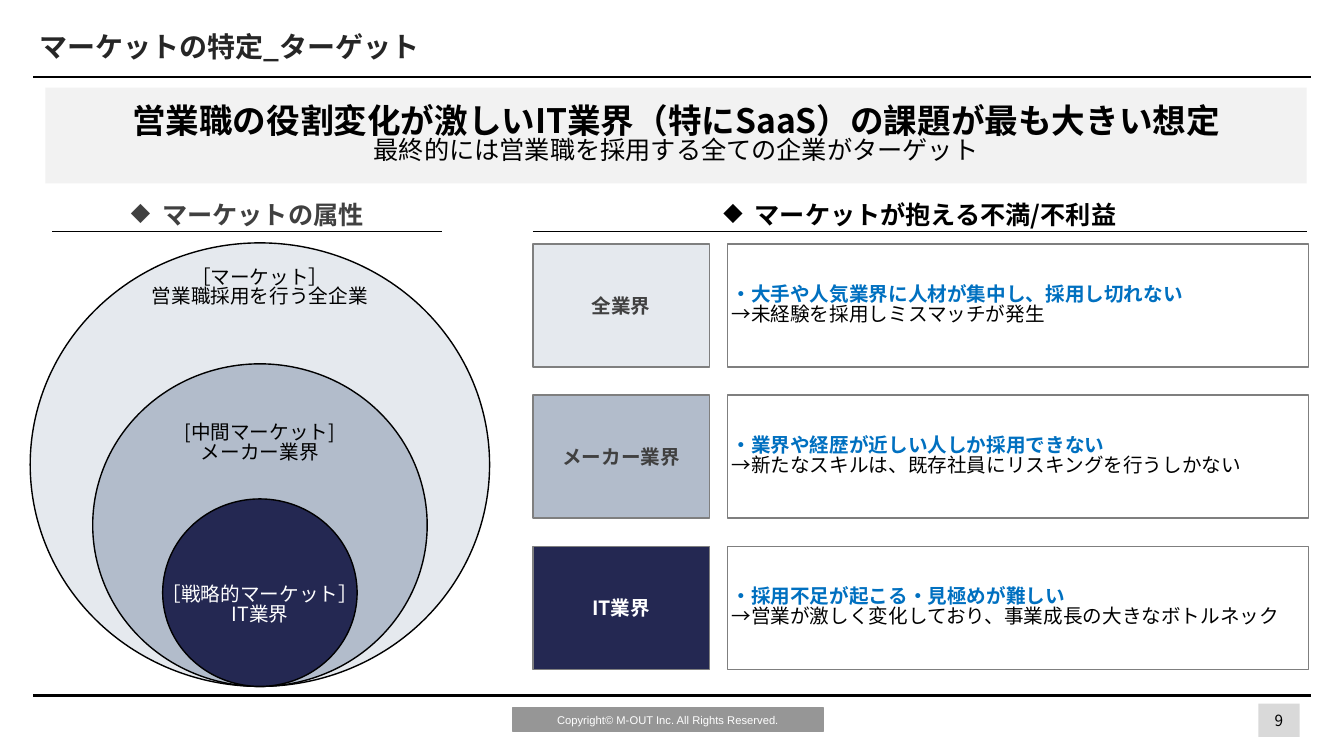
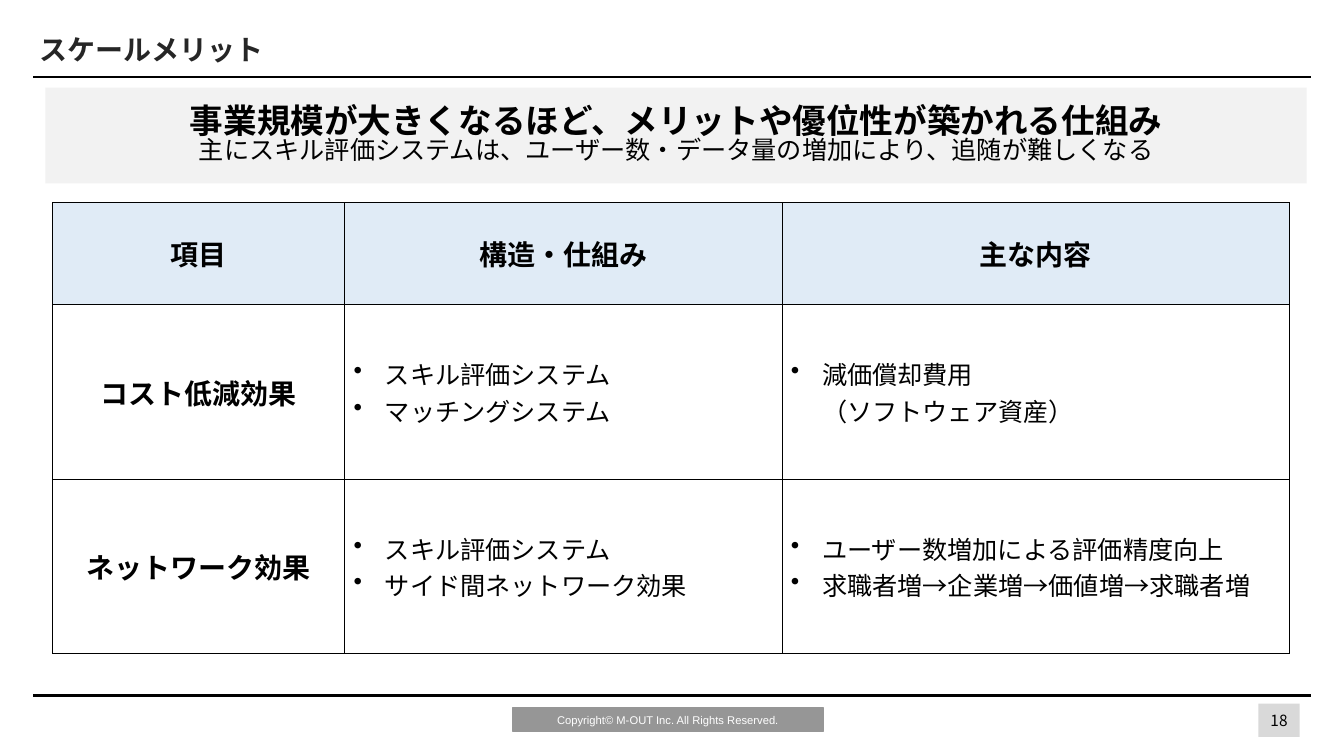
from dataclasses import dataclass

from lxml.etree import SubElement
from pptx import Presentation
from pptx.dml.color import RGBColor
from pptx.enum.shapes import MSO_CONNECTOR, MSO_SHAPE
from pptx.enum.text import MSO_ANCHOR, PP_ALIGN
from pptx.oxml.ns import qn
from pptx.util import Inches, Pt


@dataclass(frozen=True)
class Theme:
    font: str = "Noto Sans CJK JP"
    footer_font: str = "Arial"
    black: str = "000000"
    white: str = "FFFFFF"
    title: str = "262626"
    muted: str = "404040"
    accent: str = "0070C0"
    navy: str = "242852"
    steel: str = "B2BCCB"
    mist: str = "E5E9EE"
    outline: str = "7F7F7F"
    banner: str = "F2F2F2"
    header: str = "E0EBF6"
    footer: str = "969696"
    number_box: str = "D9D9D9"
    message_size: int = 24
    title_size: int = 20
    body_size: int = 18
    label_size: int = 14
    number_size: int = 11
    footer_size: int = 8
    tight: float = 0.83


THEME = Theme()
NUMBER_BOX = (12.49, 6.98, 0.41, 0.33)


def color_of(value):
    return RGBColor.from_string(value)


def add_bullet(paragraph, symbol, color):
    properties = paragraph._p.get_or_add_pPr()
    properties.set("marL", str(Inches(0.31)))
    properties.set("indent", str(Inches(-0.31)))
    bullet_color = SubElement(properties, qn("a:buClr"))
    SubElement(bullet_color, qn("a:srgbClr"), val=color)
    SubElement(properties, qn("a:buChar"), char=symbol)


def write(paragraph, text, *, size=THEME.label_size, color=THEME.black, bold=False,
          align=PP_ALIGN.CENTER, font=THEME.font, spacing=None, bullet=None):
    paragraph.text = text
    paragraph.alignment = align
    if spacing:
        paragraph.line_spacing = spacing
    if bullet:
        add_bullet(paragraph, bullet, color)
    for run in paragraph.runs:
        run.font.size = Pt(size)
        run.font.bold = bold
        run.font.color.rgb = color_of(color)
        run.font.name = font
        SubElement(run._r.get_or_add_rPr(), qn("a:ea"), typeface=font)


def write_lines(frame, lines, **shared):
    for index, (text, own) in enumerate(lines):
        paragraph = frame.add_paragraph() if index else frame.paragraphs[0]
        write(paragraph, text, **{**shared, **own})


def prepare_frame(frame, inset=0.04):
    frame.word_wrap = True
    frame.vertical_anchor = MSO_ANCHOR.MIDDLE
    frame.margin_left = frame.margin_right = Inches(inset)
    frame.margin_top = frame.margin_bottom = Inches(0.04)


def add_panel(slide, box, *, fill, line=None, kind=MSO_SHAPE.RECTANGLE, lines=(), **text_format):
    shape = slide.shapes.add_shape(kind, *map(Inches, box))
    shape.shadow.inherit = False
    shape.fill.solid()
    shape.fill.fore_color.rgb = color_of(fill)
    if line:
        shape.line.color.rgb = color_of(line)
        shape.line.width = Pt(1)
    else:
        shape.line.fill.background()
    prepare_frame(shape.text_frame)
    write_lines(shape.text_frame, lines, **text_format)
    return shape


def add_label(slide, box, lines, **text_format):
    label = slide.shapes.add_textbox(*map(Inches, box))
    prepare_frame(label.text_frame, inset=0)
    write_lines(label.text_frame, lines, **text_format)


def add_rule(slide, left, right, top, width):
    rule = slide.shapes.add_connector(
        MSO_CONNECTOR.STRAIGHT, Inches(left), Inches(top), Inches(right), Inches(top))
    rule.line.color.rgb = color_of(THEME.black)
    rule.line.width = Pt(width)
    SubElement(rule._element.spPr, qn("a:effectLst"))
    return rule


def add_heading(slide, text, left, right, color):
    add_label(slide, (left, 1.97, right - left, 0.32), [(text, {})],
              size=THEME.body_size, color=color, bold=True, bullet="◆")
    add_rule(slide, left, right, 2.29, 0.25)


def prepare_layout(layout, slide):
    for placeholder in list(layout.placeholders):
        if placeholder.placeholder_format.idx:
            placeholder.element.getparent().remove(placeholder.element)
    shared_shapes = [
        add_panel(slide, NUMBER_BOX, fill=THEME.number_box),
        add_panel(slide, (5.09, 7.02, 3.08, 0.24), fill=THEME.footer, line=THEME.footer,
                  lines=[("Copyright© M-OUT Inc. All Rights Reserved.", {})],
                  size=THEME.footer_size, color=THEME.white, font=THEME.footer_font),
        add_rule(slide, 0.33, 13.01, 0.76, 1.5),
        add_rule(slide, 0.33, 13.01, 6.9, 1.5),
    ]
    for shape in shared_shapes:
        layout.shapes.element.append(shape.element)


def fill_frame(slide, title, number, message, detail, title_top):
    placeholder = slide.shapes.title
    placeholder.left, placeholder.top = Inches(0.29), Inches(title_top)
    placeholder.width, placeholder.height = Inches(10.16), Inches(0.55)
    prepare_frame(placeholder.text_frame, inset=0.1)
    write(placeholder.text_frame.paragraphs[0], title, size=THEME.title_size,
          color=THEME.title, bold=True, align=PP_ALIGN.LEFT)
    add_label(slide, NUMBER_BOX, [(str(number), {})], size=THEME.number_size)
    add_panel(slide, (0.45, 0.87, 12.52, 0.95), fill=THEME.banner, spacing=THEME.tight,
              lines=[(message, {"size": THEME.message_size, "bold": True}),
                     (detail, {"size": THEME.body_size})])


def add_market_circles(slide):
    center, bottom = 2.58, 6.81
    circles = [
        (4.56, 4.4, THEME.mist, THEME.black, 2.86, ["［マーケット］", "営業職採用を行う全企業"]),
        (3.32, 3.2, THEME.steel, THEME.black, 4.4, ["[中間マーケット]", "メーカー業界"]),
        (1.93, 1.86, THEME.navy, THEME.white, 6.01, ["［戦略的マーケット］", "IT業界"]),
    ]
    for width, height, fill, color, middle, names in circles:
        add_panel(slide, (center - width / 2, bottom - height, width, height),
                  fill=fill, line=THEME.black, kind=MSO_SHAPE.OVAL)
        add_label(slide, (center - 1.25, middle - 0.3, 2.5, 0.6),
                  [(name, {}) for name in names], color=color, spacing=THEME.tight)


def add_complaint_rows(slide):
    top, pitch, height = 2.42, 1.5, 1.22
    rows = [
        ("全業界", THEME.mist, THEME.muted,
         "・大手や人気業界に人材が集中し、採用し切れない", "→未経験を採用しミスマッチが発生"),
        ("メーカー業界", THEME.steel, THEME.muted,
         "・業界や経歴が近しい人しか採用できない", "→新たなスキルは、既存社員にリスキングを行うしかない"),
        ("IT業界", THEME.navy, THEME.white,
         "・採用不足が起こる・見極めが難しい", "→営業が激しく変化しており、事業成長の大きなボトルネック"),
    ]
    for index, (industry, fill, color, complaint, result) in enumerate(rows):
        row_top = top + index * pitch
        add_panel(slide, (5.29, row_top, 1.75, height), fill=fill, line=THEME.outline,
                  lines=[(industry, {})], color=color, bold=True)
        add_panel(slide, (7.22, row_top, 5.77, height), fill=THEME.white, line=THEME.outline,
                  lines=[(complaint, {"color": THEME.accent, "bold": True}), (result, {})],
                  align=PP_ALIGN.LEFT, spacing=THEME.tight)


def format_cell(cell, fill):
    cell.fill.solid()
    cell.fill.fore_color.rgb = color_of(fill)
    cell.vertical_anchor = MSO_ANCHOR.MIDDLE
    cell.margin_left = cell.margin_right = Inches(0.09)
    properties = cell._tc.get_or_add_tcPr()
    for index, side in enumerate(("lnL", "lnR", "lnT", "lnB")):
        border = properties.makeelement(qn(f"a:{side}"), {"w": str(Pt(0.45))})
        properties.insert(index, border)
        border_fill = SubElement(border, qn("a:solidFill"))
        SubElement(border_fill, qn("a:srgbClr"), val=THEME.black)


def add_merit_table(slide):
    widths, heights = (2.9, 4.34, 5.04), (1.01, 1.74, 1.72)
    rows = [
        ("項目", "構造・仕組み", "主な内容"),
        ("コスト低減効果", ["スキル評価システム", "マッチングシステム"],
         ["減価償却費用\v（ソフトウェア資産）"]),
        ("ネットワーク効果", ["スキル評価システム", "サイド間ネットワーク効果"],
         ["ユーザー数増加による評価精度向上", "求職者増→企業増→価値増→求職者増"]),
    ]
    table = slide.shapes.add_table(
        len(rows), len(widths), Inches(0.52), Inches(2.01),
        Inches(sum(widths)), Inches(sum(heights))).table
    table.first_row = table.horz_banding = False
    for column, width in zip(table.columns, widths):
        column.width = Inches(width)
    for row_index, (row, height, contents) in enumerate(zip(table.rows, heights, rows)):
        row.height = Inches(height)
        for cell, content in zip(row.cells, contents):
            format_cell(cell, THEME.white if row_index else THEME.header)
            if isinstance(content, str):
                write_lines(cell.text_frame, [(content, {})], size=THEME.title_size, bold=True)
            else:
                write_lines(cell.text_frame, [(item, {}) for item in content],
                            size=THEME.body_size, align=PP_ALIGN.LEFT, bullet="•")


def main():
    presentation = Presentation()
    presentation.slide_width, presentation.slide_height = Inches(13.34), Inches(7.5)
    layout = presentation.slide_layouts.get_by_name("Title Only")

    market = presentation.slides.add_slide(layout)
    prepare_layout(layout, market)
    fill_frame(market, "マーケットの特定_ターゲット", 9,
               "営業職の役割変化が激しいIT業界（特にSaaS）の課題が最も大きい想定",
               "最終的には営業職を採用する全ての企業がターゲット", title_top=0.18)
    add_heading(market, "マーケットの属性", 0.52, 4.39, THEME.muted)
    add_heading(market, "マーケットが抱える不満/不利益", 5.29, 12.97, THEME.black)
    add_market_circles(market)
    add_complaint_rows(market)

    scale = presentation.slides.add_slide(layout)
    fill_frame(scale, "スケールメリット", 18,
               "事業規模が大きくなるほど、メリットや優位性が築かれる仕組み",
               "主にスキル評価システムは、ユーザー数・データ量の増加により、追随が難しくなる",
               title_top=0.21)
    add_merit_table(scale)

    presentation.save("out.pptx")


if __name__ == "__main__":
    main()
